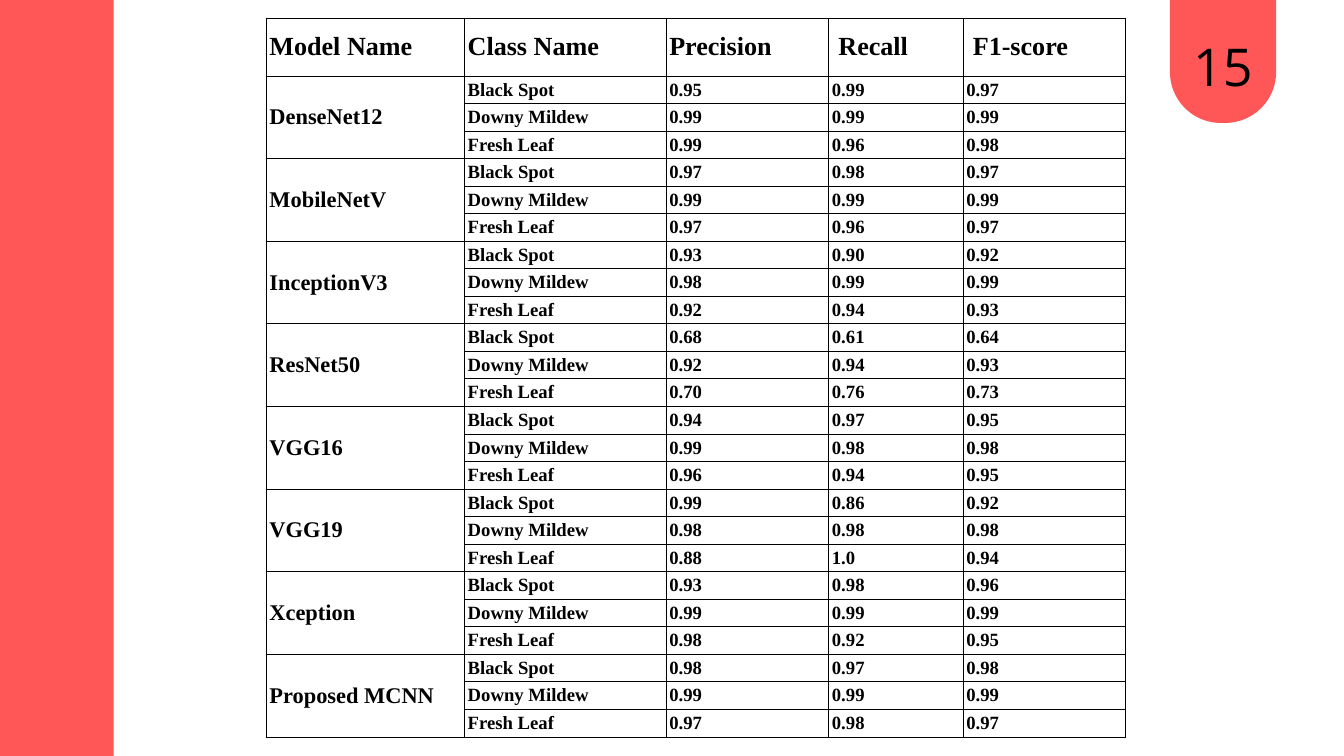
"""Builds a slide with a table of classification scores per model and leaf class."""
from dataclasses import dataclass

from lxml.etree import SubElement
from pptx import Presentation
from pptx.dml.color import RGBColor
from pptx.enum.shapes import MSO_SHAPE
from pptx.enum.text import MSO_ANCHOR, PP_ALIGN
from pptx.oxml.ns import qn
from pptx.util import Inches, Pt


@dataclass(frozen=True)
class Theme:
    coral: RGBColor = RGBColor(0xFF, 0x57, 0x57)
    ink: RGBColor = RGBColor(0, 0, 0)
    table_font: str = "Times New Roman"
    number_font: str = "Open Sans"
    header_size: float = 28
    model_size: float = 24
    score_size: float = 20
    number_size: float = 55.8
    number_leading: float = 78
    border: float = 1


THEME = Theme()
SLIDE_WIDTH, SLIDE_HEIGHT = 20, 11.25
SIDEBAR_WIDTH = 1.69
TAB_LEFT, TAB_WIDTH, TAB_HEIGHT = 17.41, 1.58, 1.83
NUMBER_TOP, NUMBER_HEIGHT = 0.36, 1.02
TABLE_LEFT, TABLE_TOP = 3.96, 0.27
COLUMN_WIDTHS = [2.95, 3, 2.42, 2, 2.42]
HEADER_HEIGHT, ROW_HEIGHT = 0.86, 0.41
CELL_MARGIN_X, CELL_MARGIN_Y = 0.05, 0.03

PAGE_NUMBER = "15"
HEADERS = ["Model Name", "Class Name", "Precision", " Recall", " F1-score"]
CLASSES = ["Black Spot", "Downy Mildew", "Fresh Leaf"]
SCORES = {
    "DenseNet12": ["0.95 0.99 0.97", "0.99 0.99 0.99", "0.99 0.96 0.98"],
    "MobileNetV": ["0.97 0.98 0.97", "0.99 0.99 0.99", "0.97 0.96 0.97"],
    "InceptionV3": ["0.93 0.90 0.92", "0.98 0.99 0.99", "0.92 0.94 0.93"],
    "ResNet50": ["0.68 0.61 0.64", "0.92 0.94 0.93", "0.70 0.76 0.73"],
    "VGG16": ["0.94 0.97 0.95", "0.99 0.98 0.98", "0.96 0.94 0.95"],
    "VGG19": ["0.99 0.86 0.92", "0.98 0.98 0.98", "0.88 1.0 0.94"],
    "Xception": ["0.93 0.98 0.96", "0.99 0.99 0.99", "0.98 0.92 0.95"],
    "Proposed MCNN": ["0.98 0.97 0.98", "0.99 0.99 0.99", "0.97 0.98 0.97"],
}


def style_font(font, name, size, bold=False):
    font.name, font.size, font.bold = name, Pt(size), bold
    font.color.rgb = THEME.ink


def style_cell(cell):
    cell.margin_left = cell.margin_right = Inches(CELL_MARGIN_X)
    cell.margin_top = cell.margin_bottom = Inches(CELL_MARGIN_Y)
    cell.vertical_anchor = MSO_ANCHOR.MIDDLE
    properties = cell._tc.get_or_add_tcPr()
    for side in ("a:lnL", "a:lnR", "a:lnT", "a:lnB"):
        line = SubElement(properties, qn(side), w=str(Pt(THEME.border)))
        fill = SubElement(line, qn("a:solidFill"))
        SubElement(fill, qn("a:srgbClr"), val=str(THEME.ink))
    cell.fill.background()


def write_cell(cell, text, size):
    cell.text_frame.text = text
    for span in cell.text_frame.paragraphs[0].runs:
        style_font(span.font, THEME.table_font, size, bold=True)


def add_score_table(page):
    row_count = 1 + len(SCORES) * len(CLASSES)
    heights = [HEADER_HEIGHT] + [ROW_HEIGHT] * (row_count - 1)
    table = page.shapes.add_table(
        row_count, len(HEADERS), Inches(TABLE_LEFT), Inches(TABLE_TOP),
        Inches(sum(COLUMN_WIDTHS)), Inches(sum(heights))).table
    table.first_row = table.horz_banding = False
    for column, width in zip(table.columns, COLUMN_WIDTHS):
        column.width = Inches(width)
    for row, height in zip(table.rows, heights):
        row.height = Inches(height)
    for cell in table.iter_cells():
        style_cell(cell)

    for column, header in enumerate(HEADERS):
        write_cell(table.cell(0, column), header, THEME.header_size)
    for group, (model, score_rows) in enumerate(SCORES.items()):
        top = 1 + group * len(CLASSES)
        model_cell = table.cell(top, 0)
        model_cell.merge(table.cell(top + len(CLASSES) - 1, 0))
        write_cell(model_cell, model, THEME.model_size)
        for row, (label, scores) in enumerate(zip(CLASSES, score_rows), top):
            for column, text in enumerate([label, *scores.split()], 1):
                write_cell(table.cell(row, column), text, THEME.score_size)


def add_block(page, kind, left, width, height):
    block = page.shapes.add_shape(
        kind, Inches(left), 0, Inches(width), Inches(height))
    block.shadow.inherit = False
    block.fill.solid()
    block.fill.fore_color.rgb = THEME.coral
    block.line.fill.background()
    return block


def add_page_number(page):
    tab = add_block(page, MSO_SHAPE.ROUND_2_SAME_RECTANGLE,
                    TAB_LEFT, TAB_WIDTH, TAB_HEIGHT)
    tab.adjustments[0], tab.adjustments[1] = 0, 0.48
    box = page.shapes.add_textbox(
        Inches(TAB_LEFT), Inches(NUMBER_TOP),
        Inches(TAB_WIDTH), Inches(NUMBER_HEIGHT))
    frame = box.text_frame
    frame.word_wrap = True
    frame.margin_left = frame.margin_right = 0
    frame.margin_top = frame.margin_bottom = 0
    frame.text = PAGE_NUMBER
    para = frame.paragraphs[0]
    para.alignment = PP_ALIGN.CENTER
    para.line_spacing = Pt(THEME.number_leading)
    style_font(para.runs[0].font, THEME.number_font, THEME.number_size)


def main():
    deck = Presentation()
    deck.slide_width, deck.slide_height = Inches(SLIDE_WIDTH), Inches(SLIDE_HEIGHT)
    page = deck.slides.add_slide(deck.slide_layouts[6])
    add_score_table(page)
    add_page_number(page)
    add_block(page, MSO_SHAPE.RECTANGLE, 0, SIDEBAR_WIDTH, SLIDE_HEIGHT)
    deck.save("out.pptx")


if __name__ == "__main__":
    main()
